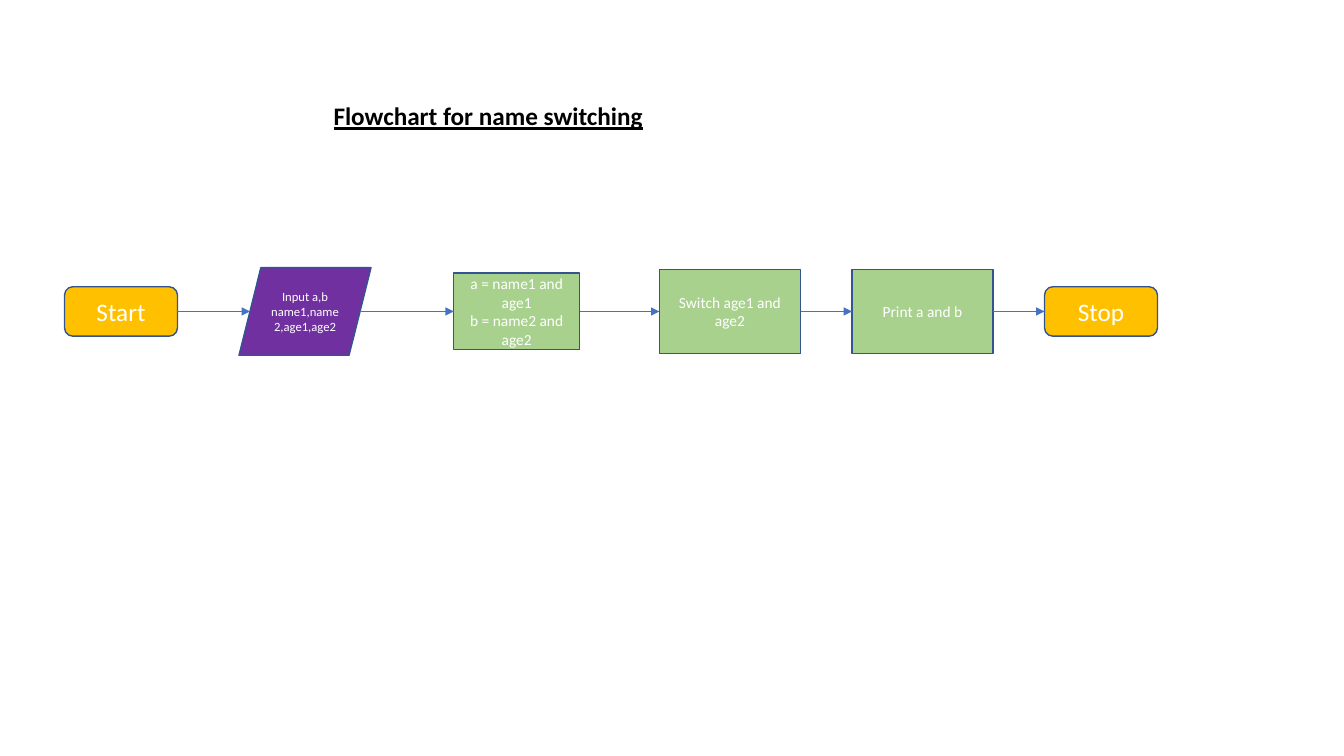
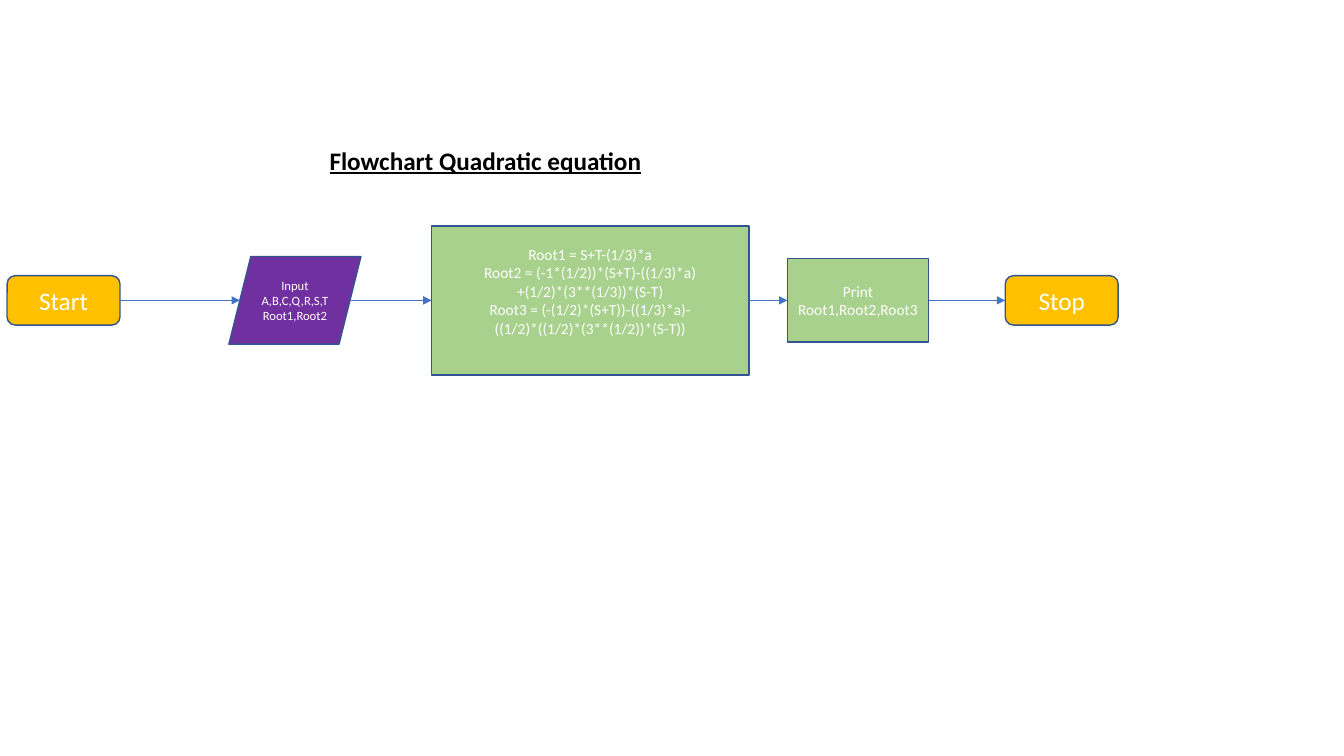
from dataclasses import dataclass
from itertools import pairwise

from lxml import etree
from pptx import Presentation
from pptx.dml.color import RGBColor
from pptx.enum.shapes import MSO_CONNECTOR, MSO_SHAPE
from pptx.enum.text import MSO_ANCHOR, PP_ALIGN
from pptx.oxml.ns import qn
from pptx.slide import Slide
from pptx.text.text import Font
from pptx.util import Inches, Pt

AMBER = RGBColor(0xFF, 0xC0, 0x00)
PURPLE = RGBColor(0x70, 0x30, 0xA0)
GREEN = RGBColor(0xA9, 0xD1, 0x8E)
OUTLINE = RGBColor(0x32, 0x54, 0x91)
ARROW = RGBColor(0x44, 0x72, 0xC4)
WHITE = RGBColor(0xFF, 0xFF, 0xFF)
BLACK = RGBColor(0x00, 0x00, 0x00)
FONT = "Calibri"


@dataclass(frozen=True)
class Kind:
    shape: MSO_SHAPE
    fill: RGBColor
    font_size: int
    width: float
    height: float
    edge_inset: float = 0


TERMINAL = Kind(MSO_SHAPE.ROUNDED_RECTANGLE, AMBER, 18, 1.12, 0.49)
INPUT = Kind(MSO_SHAPE.PARALLELOGRAM, PURPLE, 9, 1.31, 0.87, 0.11)
ASSIGN = Kind(MSO_SHAPE.RECTANGLE, GREEN, 11, 1.25, 0.76)
FORMULA = Kind(MSO_SHAPE.RECTANGLE, GREEN, 11, 3.15, 1.48)
PROCESS = Kind(MSO_SHAPE.RECTANGLE, GREEN, 11, 1.4, 0.83)


@dataclass(frozen=True)
class Step:
    kind: Kind
    left: float
    text: str
    bottom_margin: float = 0.05

    @property
    def entry(self) -> float:
        return self.left + self.kind.edge_inset

    @property
    def exit(self) -> float:
        return self.left + self.kind.width - self.kind.edge_inset


@dataclass(frozen=True)
class Flowchart:
    title: str
    title_left: float
    title_top: float
    title_width: float
    axis: float
    steps: tuple[Step, ...]


def style_font(font: Font, size: int, color: RGBColor) -> None:
    font.name = FONT
    font.size = Pt(size)
    font.color.rgb = color


def draw_title(slide: Slide, chart: Flowchart) -> None:
    box = slide.shapes.add_textbox(Inches(chart.title_left), Inches(chart.title_top),
                                   Inches(chart.title_width), Inches(0.4))
    box.text_frame.word_wrap = True
    run = box.text_frame.paragraphs[0].add_run()
    run.text = chart.title
    style_font(run.font, 18, BLACK)
    run.font.bold = True
    run.font.underline = True


def draw_step(slide: Slide, step: Step, axis: float) -> None:
    kind = step.kind
    shape = slide.shapes.add_shape(kind.shape, Inches(step.left), Inches(axis - kind.height / 2),
                                   Inches(kind.width), Inches(kind.height))
    shape.shadow.inherit = False
    shape.fill.solid()
    shape.fill.fore_color.rgb = kind.fill
    shape.line.color.rgb = OUTLINE
    shape.line.width = Pt(1)
    frame = shape.text_frame
    frame.word_wrap = True
    frame.vertical_anchor = MSO_ANCHOR.MIDDLE
    frame.margin_bottom = Inches(step.bottom_margin)
    frame.text = step.text
    for paragraph in frame.paragraphs:
        paragraph.alignment = PP_ALIGN.CENTER
        for run in paragraph.runs:
            style_font(run.font, kind.font_size, WHITE)


def draw_arrow(slide: Slide, start: Step, end: Step, axis: float) -> None:
    arrow = slide.shapes.add_connector(MSO_CONNECTOR.STRAIGHT, Inches(start.exit), Inches(axis),
                                       Inches(end.entry), Inches(axis))
    arrow.line.color.rgb = ARROW
    arrow.line.width = Pt(0.5)
    etree.SubElement(arrow.line._get_or_add_ln(), qn("a:tailEnd"), type="triangle")
    etree.SubElement(arrow._element.spPr, qn("a:effectLst"))


def draw_flowchart(slide: Slide, chart: Flowchart) -> None:
    draw_title(slide, chart)
    for step in chart.steps:
        draw_step(slide, step, chart.axis)
    for start, end in pairwise(chart.steps):
        draw_arrow(slide, start, end, chart.axis)


FLOWCHARTS = (
    Flowchart("Flowchart for name switching", 3.21, 0.95, 6.66, 3.09, (
        Step(TERMINAL, 0.64, "Start"),
        Step(INPUT, 2.37, "Input a,b name1,name2,age1,age2"),
        Step(ASSIGN, 4.5, "a = name1 and age1\nb = name2 and age2"),
        Step(PROCESS, 6.54, "Switch age1 and age2"),
        Step(PROCESS, 8.45, "Print a and b"),
        Step(TERMINAL, 10.36, "Stop"),
    )),
    Flowchart("Flowchart Quadratic equation", 3.17, 1.39, 4.04, 2.98, (
        Step(TERMINAL, 0.07, "Start"),
        Step(INPUT, 2.27, "Input A,B,C,Q,R,S,T\vRoot1,Root2"),
        Step(FORMULA, 4.28,
             "Root1 = S+T-(1/3)*a\n"
             "Root2 = (-1*(1/2))*(S+T)-((1/3)*a)+(1/2)*(3**(1/3))*(S-T)\n"
             "Root3 = (-(1/2)*(S+T))-((1/3)*a)-((1/2)*((1/2)*(3**(1/2))*(S-T))",
             bottom_margin=0.23),
        Step(PROCESS, 7.81, "Print Root1,Root2,Root3"),
        Step(TERMINAL, 9.97, "Stop"),
    )),
)


def main() -> None:
    deck = Presentation()
    deck.slide_width = Inches(13.33)
    deck.slide_height = Inches(7.5)
    for chart in FLOWCHARTS:
        draw_flowchart(deck.slides.add_slide(deck.slide_layouts[6]), chart)
    deck.save("out.pptx")


main()
